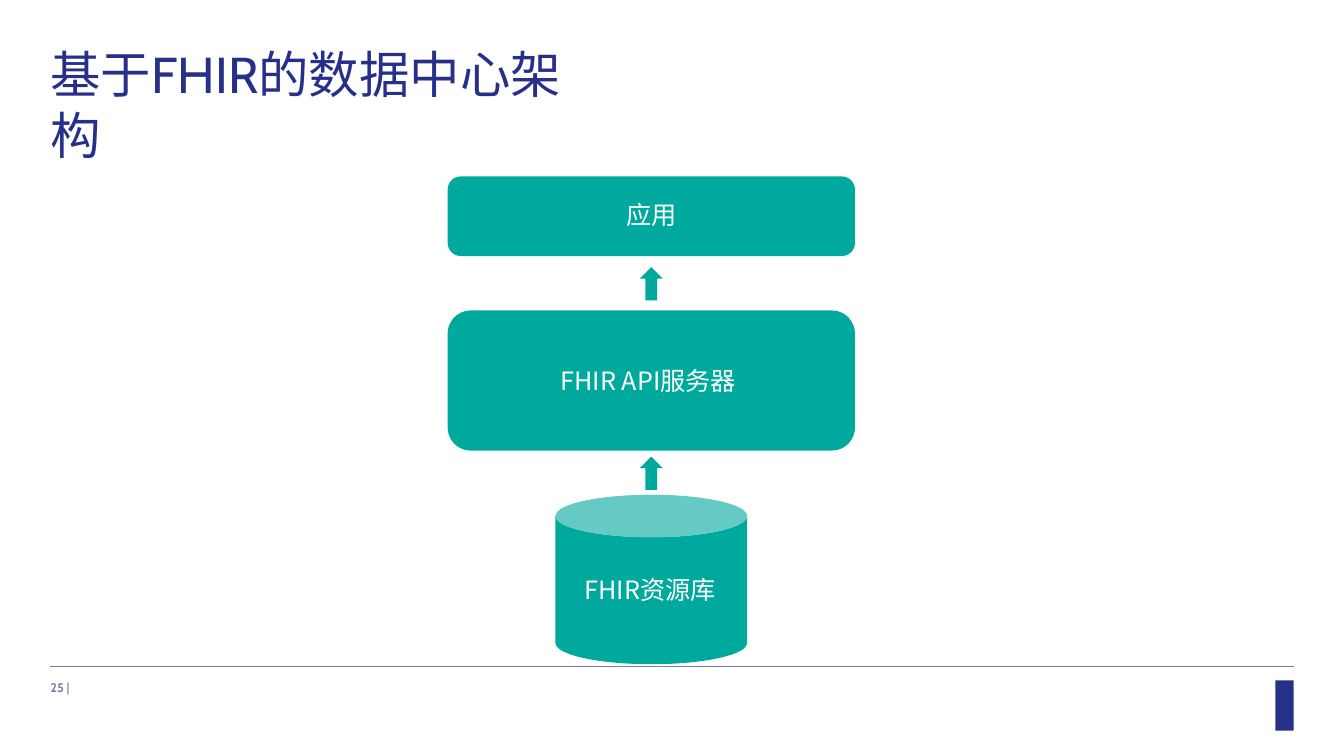
"""Build the slide on a data centre architecture based on FHIR."""
from dataclasses import dataclass

from lxml import etree
from pptx import Presentation
from pptx.dml.color import RGBColor
from pptx.enum import shapes, text
from pptx.oxml import ns
from pptx.util import Inches, Pt


@dataclass(frozen=True)
class Theme:
    navy: str = "273089"
    teal: str = "00A99D"
    pale: str = "66CAC4"
    grey: str = "74819B"
    white: str = "FFFFFF"
    cjk: str = "Noto Sans CJK SC"
    latin: str = "Cabin"
    head: int = 36
    body: int = 18
    foot: int = 9


theme = Theme()
kinds = shapes.MSO_SHAPE
deck = Presentation()
deck.slide_width, deck.slide_height = Inches(13.33), Inches(7.5)
slide = deck.slides.add_slide(deck.slide_layouts[6])


def draw(kind, spot, color):
    """Add a flat preset shape."""
    shape = slide.shapes.add_shape(kind, *map(Inches, spot))
    shape.shadow.inherit = False
    shape.fill.solid()
    shape.fill.fore_color.rgb = RGBColor.from_string(color)
    shape.line.fill.background()
    return shape


def label(spot, parts, size, color, before=1, indent=0.01):
    """Add a text box whose parts are (words, font, bold)."""
    frame = slide.shapes.add_textbox(*map(Inches, spot)).text_frame
    frame.word_wrap = True
    frame.auto_size = text.MSO_AUTO_SIZE.NONE
    frame.margin_left = frame.margin_right = frame.margin_bottom = 0
    frame.margin_top = Inches(0.01)
    para = frame.paragraphs[0]
    para.space_before = Pt(before)
    para._p.get_or_add_pPr().set("marL", str(Inches(indent)))
    for words, face, bold in parts:
        run = para.add_run()
        run.text = words
        run.font.name, run.font.size, run.font.bold = face, Pt(size), bold
        run.font.color.rgb = RGBColor.from_string(color)
        east = etree.SubElement(run._r.get_or_add_rPr(), ns.qn("a:ea"))
        east.set("typeface", theme.cjk)


draw(kinds.RECTANGLE, (12.65, 6.75, 0.18, 0.5), theme.navy)

rule = slide.shapes.add_connector(
    shapes.MSO_CONNECTOR.STRAIGHT, Inches(0.5), Inches(6.61), Inches(12.83), Inches(6.61))
rule.line.color.rgb = RGBColor.from_string(theme.grey)
rule.line.width = Pt(0.48)
etree.SubElement(rule._element.spPr, ns.qn("a:effectLst"))

title = [("基于", theme.cjk, False), ("FHIR", theme.latin, False),
         ("的数据中心架构", theme.cjk, False)]
label((0.49, 0.42, 5.55, 0.63), title, theme.head, theme.navy)

for top, height, bend in ((1.75, 0.79, 0.13), (3.08, 1.39, 0.23)):
    box = draw(kinds.ROUNDED_RECTANGLE, (4.44, top, 4.04, height), theme.teal)
    box.adjustments[0] = bend / height

for top in (2.65, 4.53):
    arrow = draw(kinds.UP_ARROW, (6.345, top, 0.23, 0.33), theme.teal)
    arrow.adjustments[0], arrow.adjustments[1] = 0.5, 0.5

draw(kinds.CAN, (5.51, 4.91, 1.9, 1.68), theme.teal).adjustments[0] = 0.25
draw(kinds.OVAL, (5.51, 4.91, 1.9, 0.42), theme.pale)

for left, top, width, words in (
        (6.2, 1.97, 0.53, "应用"),
        (5.55, 3.61, 1.82, "FHIR API服务器"),
        (5.79, 5.69, 1.34, "FHIR资源库")):
    label((left, top, width, 0.33), [(words, theme.cjk, False)], theme.body, theme.white)

page = [("25 ", theme.latin, True), ("|", theme.latin, False)]
label((0.47, 6.74, 3.3, 0.16), page, theme.foot, theme.grey, 0.5, 0.03)

deck.save("out.pptx")
